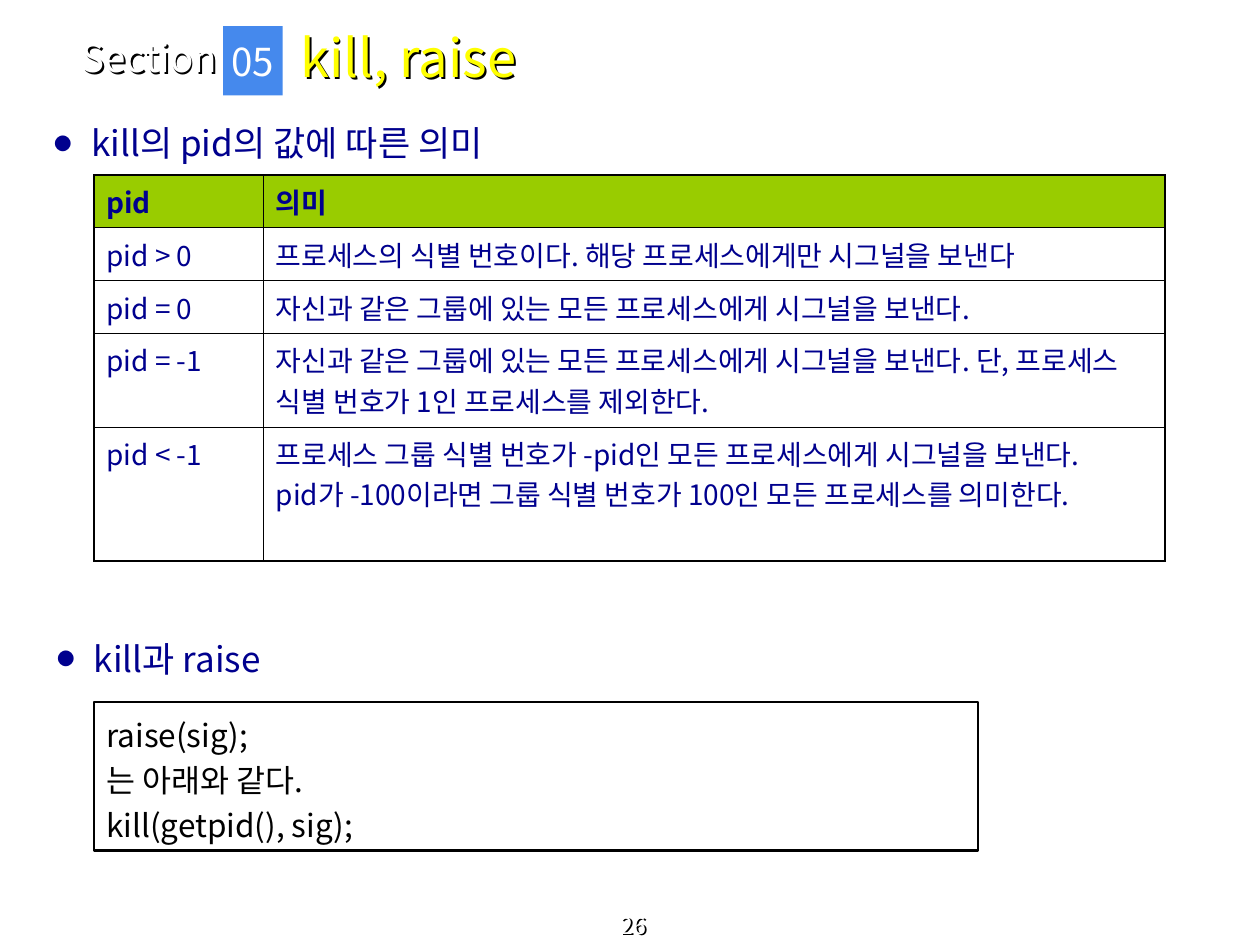
from pptx import Presentation
from pptx.dml.color import RGBColor
from pptx.enum.shapes import MSO_SHAPE as Shape
from pptx.enum.text import MSO_ANCHOR as Anchor, PP_ALIGN as Align
from pptx.oxml import parse_xml
from pptx.oxml.ns import nsdecls, qn
from pptx.util import Pt

FACE = "Noto Sans CJK KR"
NAVY, BLACK, WHITE = "00008E", "000000", "FFFFFF"
GREEN, BLUE, YELLOW = "99CC00", "4589ED", "FFFF00"
ROWS = [
    ("pid", "의미"),
    ("pid > 0", "프로세스의 식별 번호이다. 해당 프로세스에게만 시그널을 보낸다"),
    ("pid = 0", "자신과 같은 그룹에 있는 모든 프로세스에게 시그널을 보낸다."),
    ("pid = -1", "자신과 같은 그룹에 있는 모든 프로세스에게 시그널을 보낸다. "
                 "단, 프로세스 식별 번호가 1인 프로세스를 제외한다."),
    ("pid < -1", "프로세스 그룹 식별 번호가 -pid인 모든 프로세스에게 시그널을 보낸다.\n"
                 "pid가 -100이라면 그룹 식별 번호가 100인 모든 프로세스를 의미한다."),
]
CODE = ["raise(sig);", "는 아래와 같다.", "kill(getpid(), sig);"]


def paint(color):
    return RGBColor.from_string(color)


def node(xml):
    return parse_xml(xml.replace(">", f" {nsdecls('a')}>", 1))


def add_run(para, text, size, color, bold=False):
    for i, part in enumerate(text.split("\n")):
        if i:
            para.add_line_break()
        run = para.add_run()
        run.text = part
        font = run.font
        font.size, font.bold, font.name = Pt(size), bold, FACE
        font.color.rgb = paint(color)
        latin = run._r.rPr.find(qn("a:latin"))
        latin.addnext(node(f'<a:ea typeface="{FACE}"></a:ea>'))


def add_text(slide, box, text, size, color, anchor=Anchor.MIDDLE,
             align=Align.LEFT, shade=False):
    shape = slide.shapes.add_textbox(*map(Pt, box))
    if shade:
        # An unfilled box casts the shadow of its text
        shape._element.spPr.append(node(
            '<a:effectLst><a:outerShdw dist="17961" dir="2700000" algn="ctr" '
            'rotWithShape="0"><a:srgbClr val="000000"/></a:outerShdw>'
            '</a:effectLst>'))
    frame = shape.text_frame
    frame.word_wrap = True
    frame.vertical_anchor = anchor
    para = frame.paragraphs[0]
    para.alignment = align
    add_run(para, text, size, color)
    return para


def add_bullet(slide, box, text):
    para = add_text(slide, box, text, 20, NAVY, Anchor.TOP)
    props = para._p.get_or_add_pPr()
    props.set("marL", str(Pt(21)))
    props.set("indent", str(-Pt(21)))
    for xml in (f'<a:buClr><a:srgbClr val="{NAVY}"/></a:buClr>',
                '<a:buSzPct val="50000"></a:buSzPct>',
                f'<a:buFont typeface="{FACE}"></a:buFont>',
                '<a:buChar char="●"></a:buChar>'):
        props.append(node(xml))


def add_box(slide, box, lines, size, color, fill=None, line=None,
            align=Align.LEFT, wrap=True, gap=1.0):
    shape = slide.shapes.add_shape(Shape.RECTANGLE, *map(Pt, box))
    shape.shadow.inherit = False
    if fill:
        shape.fill.solid()
        shape.fill.fore_color.rgb = paint(fill)
    else:
        shape.fill.background()
    if line:
        shape.line.color.rgb = paint(line)
        shape.line.width = Pt(1.25)
    else:
        shape.line.fill.background()
    frame = shape.text_frame
    frame.word_wrap = wrap
    frame.vertical_anchor = Anchor.MIDDLE
    for i, text in enumerate(lines):
        para = frame.add_paragraph() if i else frame.paragraphs[0]
        para.alignment = align
        para.line_spacing = gap
        add_run(para, text, size, color)


def set_edge(cell, side, width):
    cell._tc.get_or_add_tcPr().append(node(
        f'<a:ln{side} w="{Pt(width)}"><a:solidFill>'
        f'<a:srgbClr val="{BLACK}"/></a:solidFill></a:ln{side}>'))


def add_grid(slide, left, top, widths, heights, rows):
    box = (left, top, sum(widths), sum(heights))
    table = slide.shapes.add_table(len(rows), len(widths), *map(Pt, box)).table
    table.first_row = table.horz_banding = False
    for col, width in zip(table.columns, widths):
        col.width = Pt(width)
    for row, height in zip(table.rows, heights):
        row.height = Pt(height)
    for r, texts in enumerate(rows):
        for c, text in enumerate(texts):
            cell = table.cell(r, c)
            # Heavy outer frame, thin inner rules
            outer = {"L": c == 0, "R": c == len(widths) - 1,
                     "T": r == 0, "B": r == len(rows) - 1}
            for side, edge in outer.items():
                set_edge(cell, side, 1.08 if edge else 0.45)
            if r == 0:
                cell.fill.solid()
                cell.fill.fore_color.rgb = paint(GREEN)
            else:
                cell.fill.background()
            para = cell.text_frame.paragraphs[0]
            para.space_before = Pt(4)
            add_run(para, text, 16, NAVY, bold=r == 0)


def main():
    deck = Presentation()
    deck.slide_width, deck.slide_height = Pt(720), Pt(540)
    slide = deck.slides.add_slide(deck.slide_layouts[6])

    # Heading
    add_text(slide, (39.6, 19.5, 139, 26.5), "Section", 22, WHITE, shade=True)
    add_text(slide, (164.5, 8, 467, 49), "kill, raise", 30, YELLOW, shade=True)
    add_box(slide, (127.5, 15, 34, 39.6), ["05"], 22, WHITE, fill=BLUE,
            align=Align.CENTER, wrap=False)

    # Meaning of pid
    add_bullet(slide, (24, 66, 672, 39.6), "kill의 pid의 값에 따른 의미")
    add_grid(slide, 53.7, 100, (96.8, 515.4), (30, 30.25, 30.25, 53.5, 76.5),
             ROWS)

    # kill and raise
    add_bullet(slide, (25.5, 360.5, 672, 39.6), "kill과 raise")
    add_box(slide, (53.75, 401, 505, 85), CODE, 18, BLACK, line=BLACK, gap=1.2)

    # Page number
    add_text(slide, (2, 524, 720, 16), "26", 13, WHITE, Anchor.BOTTOM,
             Align.CENTER, shade=True)
    deck.save("out.pptx")


if __name__ == "__main__":
    main()
